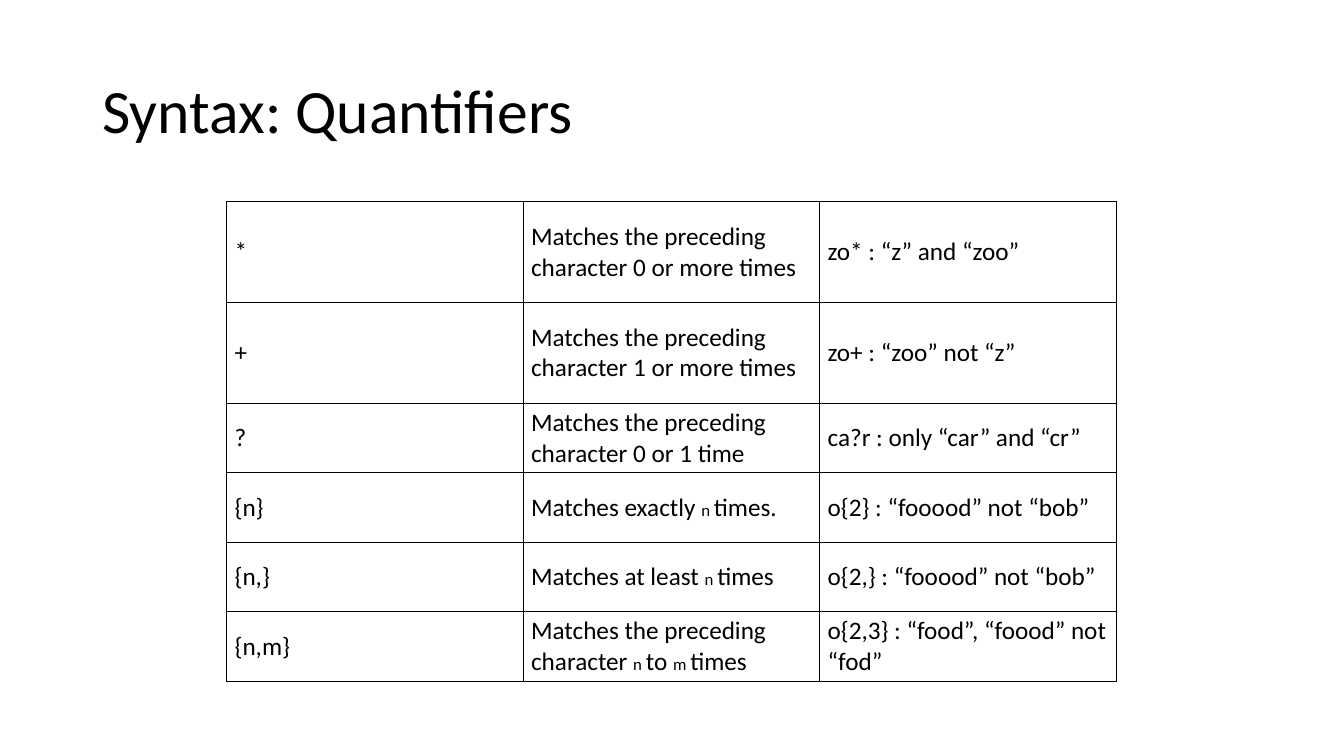
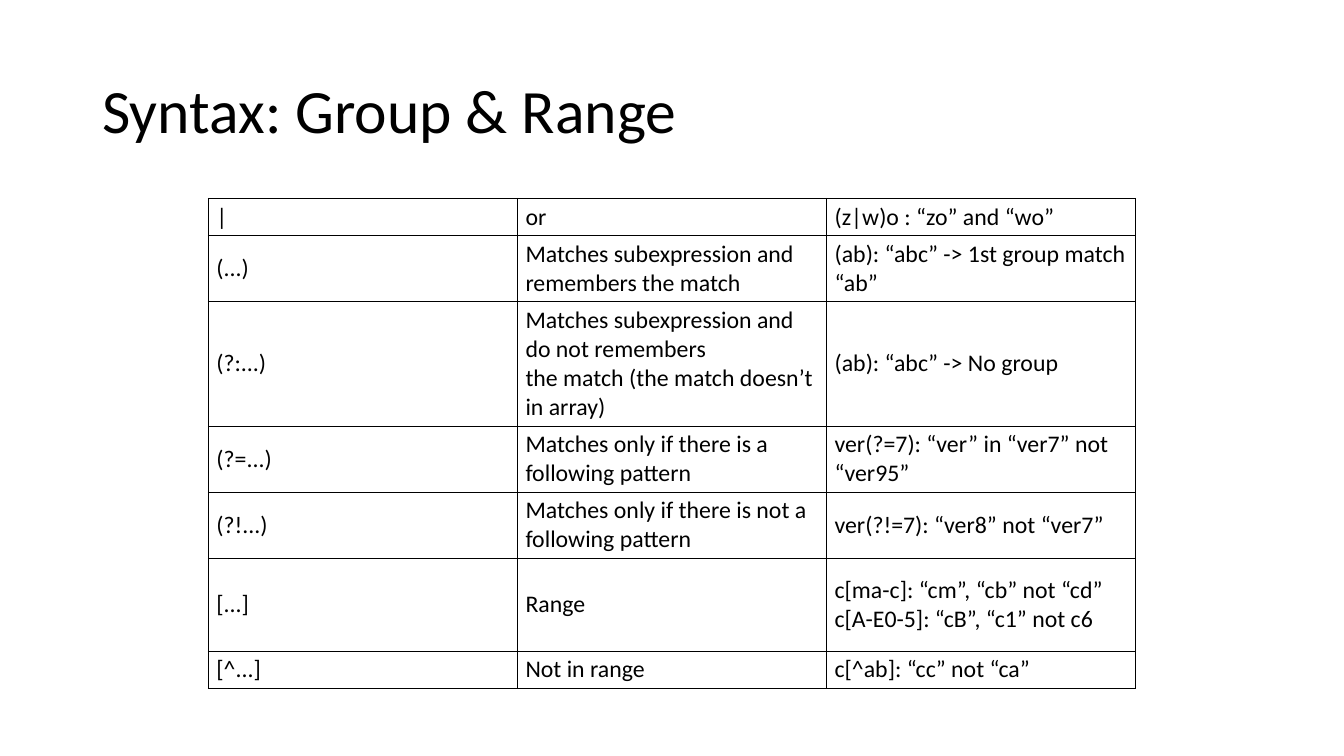
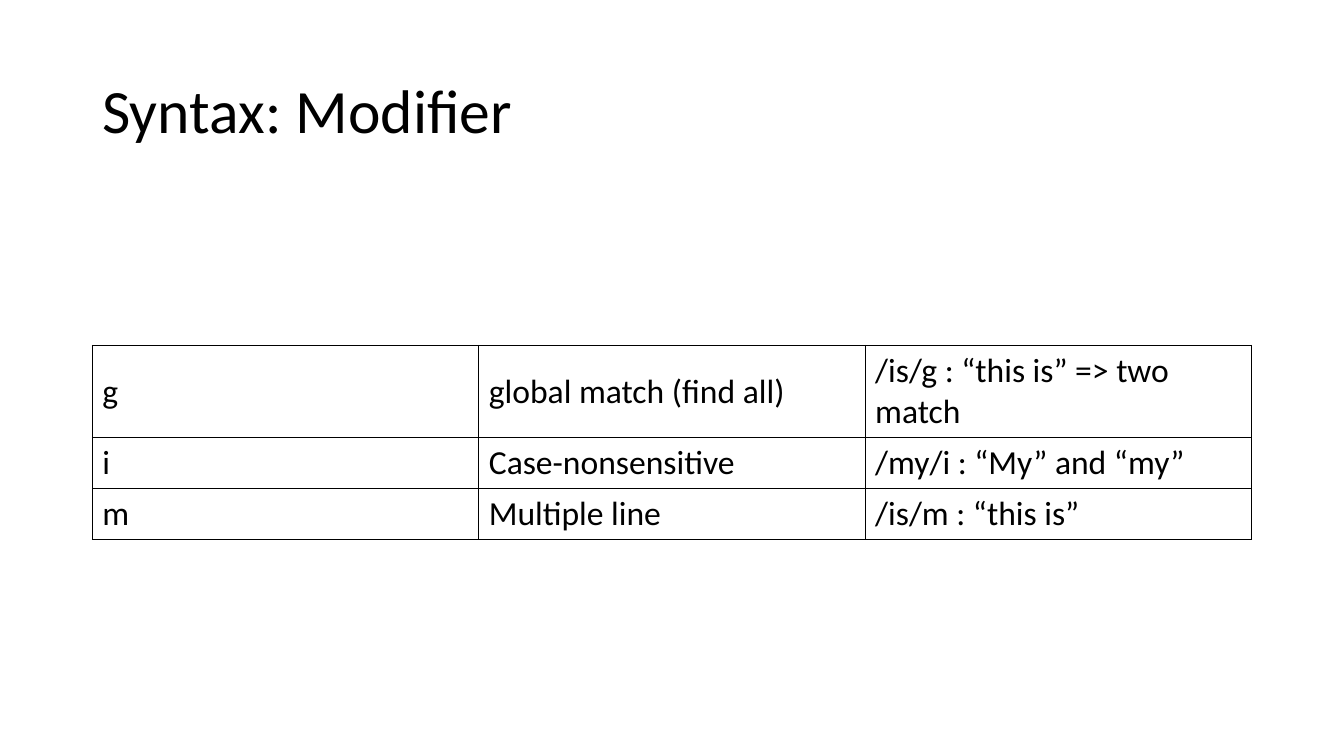
from lxml import etree
from pptx import Presentation
from pptx.dml.color import RGBColor
from pptx.enum.text import MSO_ANCHOR, PP_ALIGN
from pptx.oxml.ns import qn
from pptx.util import Pt

MIDDLE = MSO_ANCHOR.MIDDLE
LEFT = PP_ALIGN.LEFT
BLACK = RGBColor(0, 0, 0)
FONT = "Calibri"
TITLE_SIZE = 44
VARIABLE_SIZE = 12
VARIABLE_MARK = "`"
TITLE_ONLY_LAYOUT = 5
BORDER_TAGS = ("a:lnL", "a:lnR", "a:lnT", "a:lnB")
NARROW_INSETS = (5.6, 2.8)
WIDE_INSETS = (7.2, 3.6)

QUANTIFIERS = [
    ("*", "Matches the preceding character 0 or more times", "zo* : “z” and “zoo”"),
    ("+", "Matches the preceding character 1 or more times", "zo+ : “zoo” not “z”"),
    ("?", "Matches the preceding character 0 or 1 time", "ca?r : only “car” and “cr”"),
    ("{n}", "Matches exactly `n `times.", "o{2} : “fooood” not “bob”"),
    ("{n,}", "Matches at least `n `times", "o{2,} : “fooood” not “bob”"),
    ("{n,m}", "Matches the preceding character `n `to `m `times",
     "o{2,3} : “food”, “foood” not “fod”"),
]
GROUPS_AND_RANGES = [
    ("|", "or", "(z|w)o : “zo” and “wo”"),
    ("(...)", "Matches subexpression and remembers the match",
     "(ab): “abc” -> 1st group match “ab”"),
    ("(?:...)",
     "Matches subexpression and do not remembers\vthe match (the match doesn’t in array)",
     "(ab): “abc” -> No group"),
    ("(?=...)", "Matches only if there is a following pattern",
     "ver(?=7): “ver” in “ver7” not “ver95”"),
    ("(?!...)", "Matches only if there is not a following pattern",
     "ver(?!=7): “ver8” not “ver7”"),
    ("[...]", "Range", "c[ma-c]: “cm”, “cb” not “cd” c[A-E0-5]: “cB”, “c1” not c6"),
    ("[^...]", "Not in range", "c[^ab]: “cc” not “ca”"),
]
MODIFIERS = [
    ("g", "global match (find all)", "/is/g : “this is” => two match"),
    ("i", "Case-nonsensitive", "/my/i : “My” and “my”"),
    ("m", "Multiple line", "/is/m : “this is”"),
]


def format_run(run, size):
    """Apply the shared font and colour at the given size."""
    run.font.name = FONT
    run.font.size = Pt(size)
    run.font.color.rgb = BLACK


def add_titled_slide(presentation, title):
    """Add a slide with the shared title style."""
    slide = presentation.slides.add_slide(presentation.slide_layouts[TITLE_ONLY_LAYOUT])
    shape = slide.shapes.title
    shape.left, shape.top, shape.width, shape.height = Pt(66), Pt(28.8), Pt(828), Pt(104.4)
    text_frame = shape.text_frame
    text_frame.text = title
    text_frame.vertical_anchor = MIDDLE
    paragraph = text_frame.paragraphs[0]
    paragraph.alignment = LEFT
    paragraph.line_spacing = 0.9
    format_run(paragraph.runs[0], TITLE_SIZE)
    return slide


def add_borders(cell):
    """Draw a thin black line on all four sides of a cell."""
    properties = cell._tc.get_or_add_tcPr()
    for position, tag in enumerate(BORDER_TAGS):
        line = etree.Element(qn(tag), w=str(Pt(1)))
        fill = etree.SubElement(line, qn("a:solidFill"))
        etree.SubElement(fill, qn("a:srgbClr"), val=str(BLACK))
        properties.insert(position, line)


def write_cell(cell, text, size, insets):
    """Fill a cell, setting marked variables in small type."""
    cell.margin_left = cell.margin_right = Pt(insets[0])
    cell.margin_top = cell.margin_bottom = Pt(insets[1])
    cell.vertical_anchor = MIDDLE
    cell.fill.background()
    add_borders(cell)
    paragraph = cell.text_frame.paragraphs[0]
    if VARIABLE_MARK not in text:
        paragraph.text = text
        for run in paragraph.runs:
            format_run(run, size)
        return
    for position, part in enumerate(text.split(VARIABLE_MARK)):
        run = paragraph.add_run()
        run.text = part
        format_run(run, VARIABLE_SIZE if position % 2 else size)


def add_syntax_table(slide, entries, left, top, width, row_heights, size, insets):
    """Add a bordered table with equal columns."""
    column_count = len(entries[0])
    table = slide.shapes.add_table(
        len(entries), column_count, Pt(left), Pt(top), Pt(width), Pt(sum(row_heights))
    ).table
    table.first_row = False
    table.horz_banding = False
    for column in table.columns:
        column.width = Pt(width / column_count)
    for row, height, texts in zip(table.rows, row_heights, entries):
        row.height = Pt(height)
        for cell, text in zip(row.cells, texts):
            write_cell(cell, text, size, insets)


def main():
    """Build the three syntax slides."""
    presentation = Presentation()
    presentation.slide_width, presentation.slide_height = Pt(960), Pt(540)

    slide = add_titled_slide(presentation, "Syntax: Quantifiers")
    add_syntax_table(slide, QUANTIFIERS, 162, 144, 635.4,
                     [72] * 2 + [49.7] * 4, 18, NARROW_INSETS)

    slide = add_titled_slide(presentation, "Syntax: Group & Range")
    add_syntax_table(slide, GROUPS_AND_RANGES, 149, 141.8, 662.4,
                     [26.4, 47.2, 89, 47.2, 47.2, 66.4, 26.4], 17, NARROW_INSETS)

    slide = add_titled_slide(presentation, "Syntax: Modifier")
    add_syntax_table(slide, MODIFIERS, 66, 246.8, 828,
                     [65.8, 36.5, 36.5], 24, WIDE_INSETS)

    presentation.save("out.pptx")


main()
